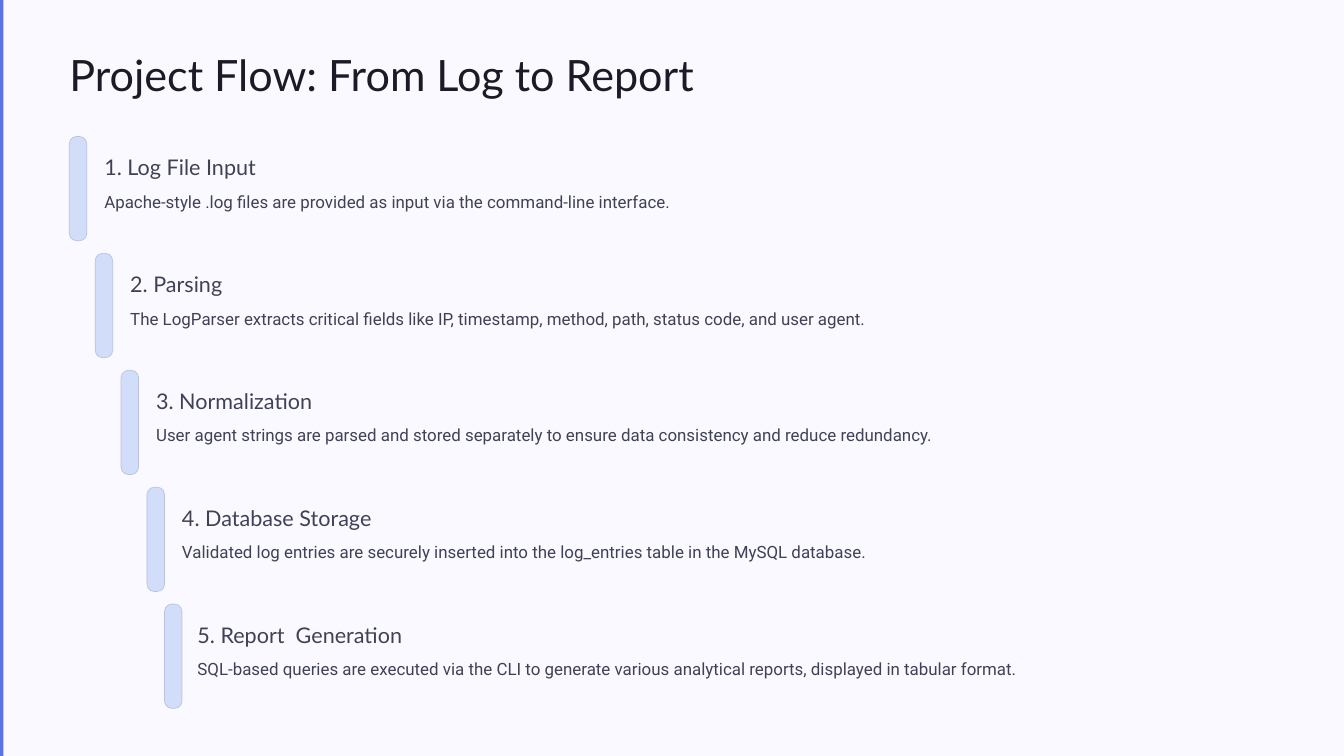
from pptx import Presentation
from pptx import util as u
from pptx.dml.color import RGBColor
from pptx.enum import shapes, text

TITLE = "Project Flow: From Log to Report"
STEPS = [
    ("1. Log File Input",
     "Apache-style .log files are provided as input via the command-line interface."),
    ("2. Parsing",
     "The LogParser extracts critical fields like IP, timestamp, method, path, status code, and user agent."),
    ("3. Normalization",
     "User agent strings are parsed and stored separately to ensure data consistency and reduce redundancy."),
    ("4. Database Storage",
     "Validated log entries are securely inserted into the log_entries table in the MySQL database."),
    ("5. Report  Generation",
     "SQL-based queries are executed via the CLI to generate various analytical reports, displayed in tabular format."),
]
COLORS = {"accent": "5C73E6", "page": "F9F9FF", "title": "1B1B27",
          "bar": "D2DDF9", "border": "B8C3DF", "text": "404155"}

W, H = 1920, 1080
LEFT, TOP = 99, 195
INDENT, PITCH = 37, 167
BAR_W, BAR_H = 25, 149
TEXT_GAP = 50
LAST = len(STEPS) - 1
LAST_SHIFT = -12  # the last step is indented less than the others
LAST_TEXT_SHIFT = -3


def px(n):
    return u.Emu(n * 9525)


def box(x, y, w, h):
    return [px(n) for n in (x, y, w, h)]


def rgb(name):
    return RGBColor.from_string(COLORS[name])


def fill_text(sp, words, font, size, color, spacing):
    """Put one left-aligned paragraph in a shape, with no insets."""
    tf = sp.text_frame
    tf.word_wrap = True
    tf.auto_size = text.MSO_AUTO_SIZE.NONE
    tf.vertical_anchor = text.MSO_ANCHOR.TOP
    tf.margin_left = tf.margin_top = tf.margin_right = tf.margin_bottom = 0
    p = tf.paragraphs[0]
    p.text = words
    p.alignment = text.PP_ALIGN.LEFT
    p.line_spacing = u.Pt(spacing)
    p.font.name, p.font.size = font, u.Pt(size)
    p.font.color.rgb = rgb(color)


def add_block(s, kind, area, color):
    sp = s.shapes.add_shape(kind, *box(*area))
    sp.shadow.inherit = False
    sp.fill.solid()
    sp.fill.fore_color.rgb = rgb(color)
    sp.line.fill.background()
    return sp


def add_step(s, i, heading, detail):
    x, y = LEFT + i * INDENT, TOP + i * PITCH
    text_x, detail_y = x + TEXT_GAP, y + 68
    if i == LAST:
        x += LAST_SHIFT
        text_x += LAST_SHIFT + LAST_TEXT_SHIFT
        detail_y -= 1
    bar = add_block(s, shapes.MSO_SHAPE.ROUNDED_RECTANGLE, (x, y, BAR_W, BAR_H), "bar")
    bar.adjustments[0] = 0.42
    bar.line.color.rgb = rgb("border")
    bar.line.width = u.Pt(0.75)
    fill_text(s.shapes.add_textbox(*box(text_x, y + 24, 373, 39)),
              heading, "Lato", 23.1, "text", 28.8)
    fill_text(s.shapes.add_textbox(*box(text_x, detail_y, W - LEFT - text_x, 52)),
              detail, "Roboto", 18.1, "text", 29.4)


def main():
    prs = Presentation()
    prs.slide_width, prs.slide_height = px(W), px(H)
    s = prs.slides.add_slide(prs.slide_layouts[5])
    s.background.fill.solid()
    s.background.fill.fore_color.rgb = rgb("page")
    add_block(s, shapes.MSO_SHAPE.RECTANGLE, (0, 0, 5, H), "accent")

    title = s.shapes.title
    title.left, title.top, title.width, title.height = box(LEFT, 66, 1011, 80)
    fill_text(title, TITLE, "Lato", 46.2, "title", 57.5)

    for i, (heading, detail) in enumerate(STEPS):
        add_step(s, i, heading, detail)
    prs.save("out.pptx")


if __name__ == "__main__":
    main()
